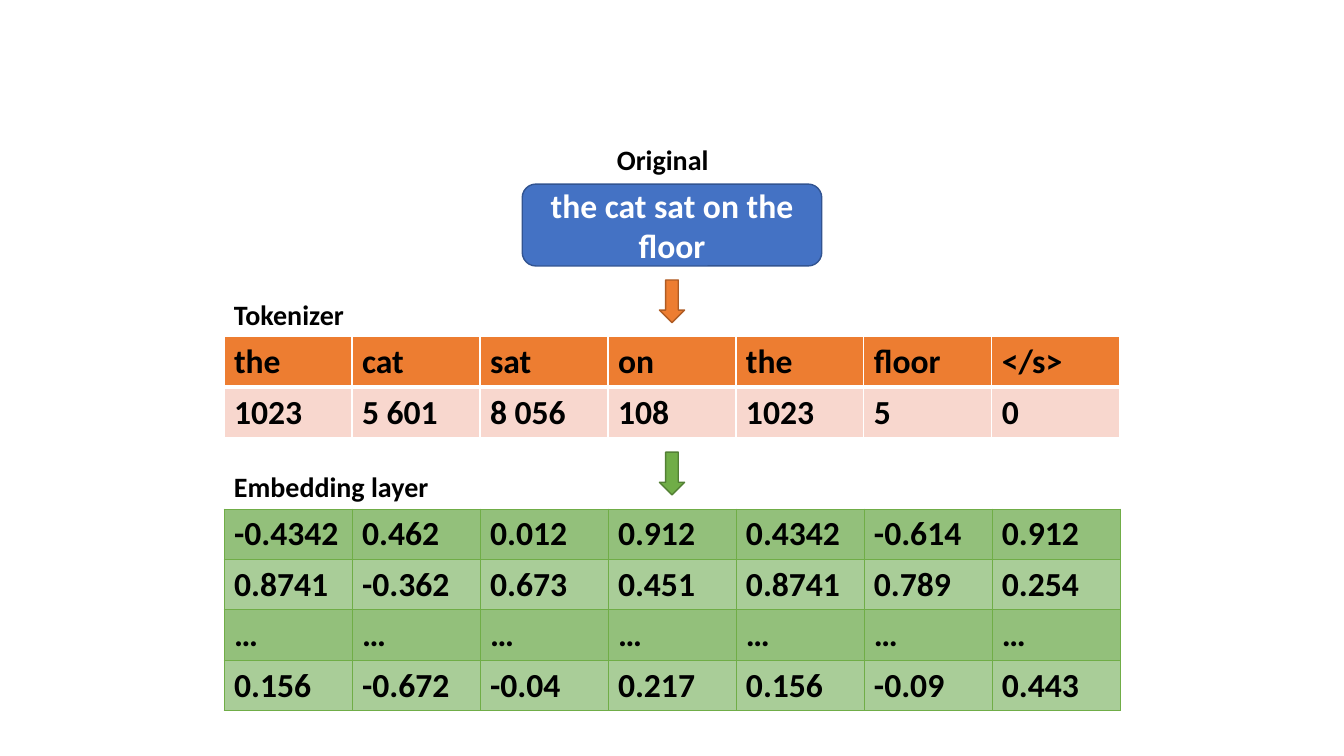
from lxml.etree import SubElement
from pptx import Presentation
from pptx.dml.color import RGBColor
from pptx.enum.shapes import MSO_SHAPE as Shape
from pptx.enum.text import MSO_ANCHOR as Anchor, PP_ALIGN as Align
from pptx.oxml.ns import qn
from pptx.util import Pt

CENTER = 480
TABLE_LEFT, TABLE_WIDTH, ROW_HEIGHT = 160, 640, 36

TOKENS = [
    ["the", "cat", "sat", "on", "the", "floor", "</s>"],
    ["1023", "5 601", "8 056", "108", "1023", "5", "0"],
]
EMBEDDINGS = [
    ["-0.4342", "0.462", "0.012", "0.912", "0.4342", "-0.614", "0.912"],
    ["0.8741", "-0.362", "0.673", "0.451", "0.8741", "0.789", "0.254"],
    ["…"] * 7,
    ["0.156", "-0.672", "-0.04", "0.217", "0.156", "-0.09", "0.443"],
]


def paint(color_format, color):
    color_format.rgb = RGBColor.from_string(color)


def fill_solid(target, color):
    target.fill.solid()
    paint(target.fill.fore_color, color)


def write(frame, text, size=24, color="000000", align=Align.LEFT):
    para = frame.paragraphs[0]
    para.alignment = align
    span = para.add_run()
    span.text = text
    span.font.name = "Calibri"
    span.font.size = Pt(size)
    span.font.bold = True
    paint(span.font.color, color)


def add_label(page, text, left, top, width):
    box = page.shapes.add_textbox(Pt(left), Pt(top), Pt(width), Pt(31.5))
    box.text_frame.word_wrap = True
    write(box.text_frame, text, size=20)


def add_block(page, kind, left, top, width, height, fill, line):
    block = page.shapes.add_shape(kind, Pt(left), Pt(top), Pt(width), Pt(height))
    block.shadow.inherit = False
    fill_solid(block, fill)
    paint(block.line.color, line)
    block.line.width = Pt(1)
    return block


def set_borders(cell, color, widths):
    """Draw the left, right, top and bottom borders in the given point widths."""
    properties = cell._tc.get_or_add_tcPr()
    for index, (side, width) in enumerate(zip("LRTB", widths)):
        line = SubElement(properties, qn(f"a:ln{side}"), w=str(Pt(width)))
        solid = SubElement(line, qn("a:solidFill"))
        SubElement(solid, qn("a:srgbClr"), val=color)
        properties.insert(index, line)


def add_grid(page, rows, top, row_fills, border, row_borders):
    """Fill and border formats repeat down the rows."""
    columns = len(rows[0])
    table = page.shapes.add_table(
        len(rows), columns, Pt(TABLE_LEFT), Pt(top),
        Pt(TABLE_WIDTH), Pt(ROW_HEIGHT * len(rows))).table
    table.first_row = table.horz_banding = False
    for column in table.columns:
        column.width = Pt(TABLE_WIDTH / columns)
    for r, values in enumerate(rows):
        for c, value in enumerate(values):
            cell = table.cell(r, c)
            write(cell.text_frame, value)
            fill_solid(cell, row_fills[r % len(row_fills)])
            set_borders(cell, border, row_borders[r % len(row_borders)])


def add_sentence(page, top):
    add_label(page, "Original", 433.5, top, 93)
    box = add_block(page, Shape.ROUNDED_RECTANGLE, CENTER - 107, top + 33,
                    214, 58.5, "4472C4", "325491")
    box.text_frame.word_wrap = True
    box.text_frame.vertical_anchor = Anchor.MIDDLE
    write(box.text_frame, "the cat sat on the floor", color="FFFFFF", align=Align.CENTER)


def add_stage(page, top, title, title_width, arrow_fill, arrow_line, rows, **grid_format):
    """Place an arrow, a heading and the table below them."""
    add_block(page, Shape.DOWN_ARROW, CENTER - 9, top, 18, 30.5, arrow_fill, arrow_line)
    add_label(page, title, TABLE_LEFT, top + 9, title_width)
    add_grid(page, rows, top + 40.5, **grid_format)


def main():
    deck = Presentation()
    deck.slide_width, deck.slide_height = Pt(960), Pt(540)
    page = deck.slides.add_slide(deck.slide_layouts[6])
    add_sentence(page, 98.5)
    add_stage(page, 200, "Tokenizer", 93, "ED7D31", "AF5C24", TOKENS,
              row_fills=["ED7D31", "F8D7CE"], border="FFFFFF",
              row_borders=[(1, 1, 1, 3), (1, 1, 3, 1)])
    add_stage(page, 323, "Embedding layer", 480, "70AD47", "538035", EMBEDDINGS,
              row_fills=["93C07B", "A9CD98"], border="70AD47",
              row_borders=[(0.5, 0.5, 0.5, 0.5)])
    deck.save("out.pptx")


if __name__ == "__main__":
    main()
